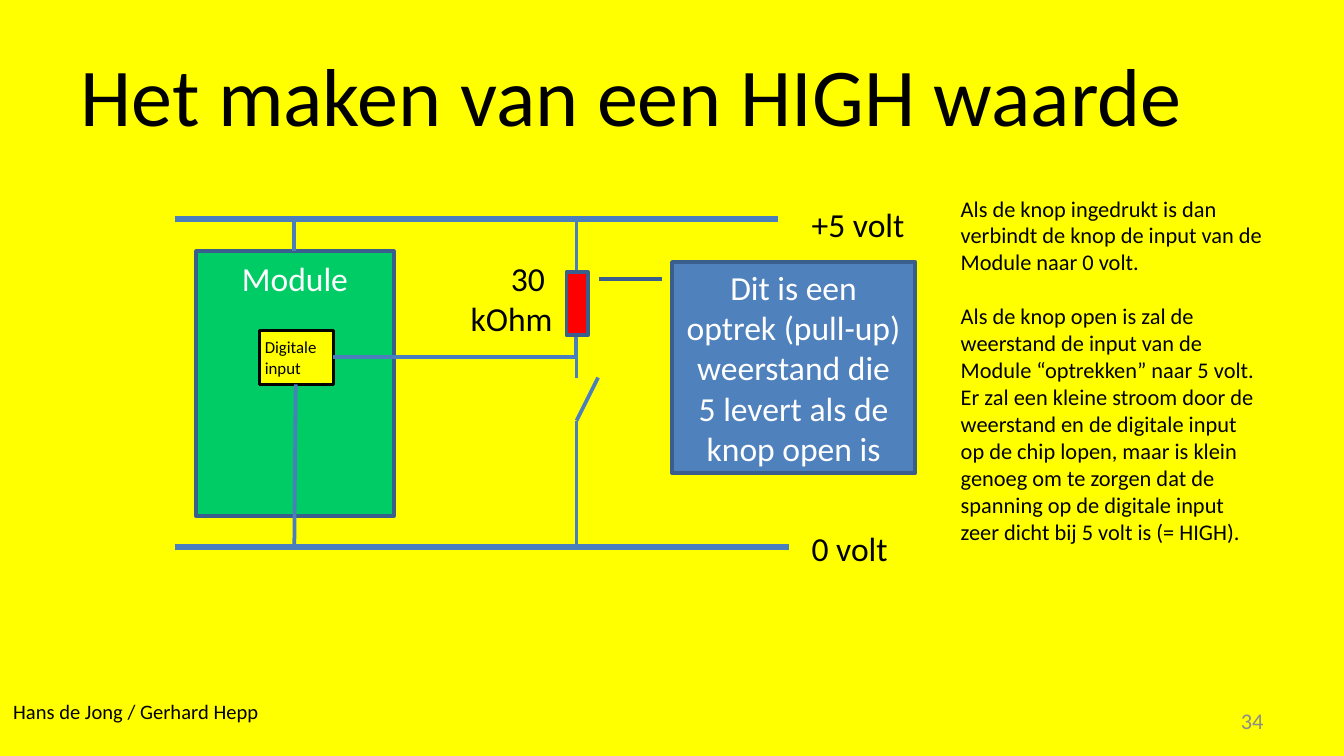
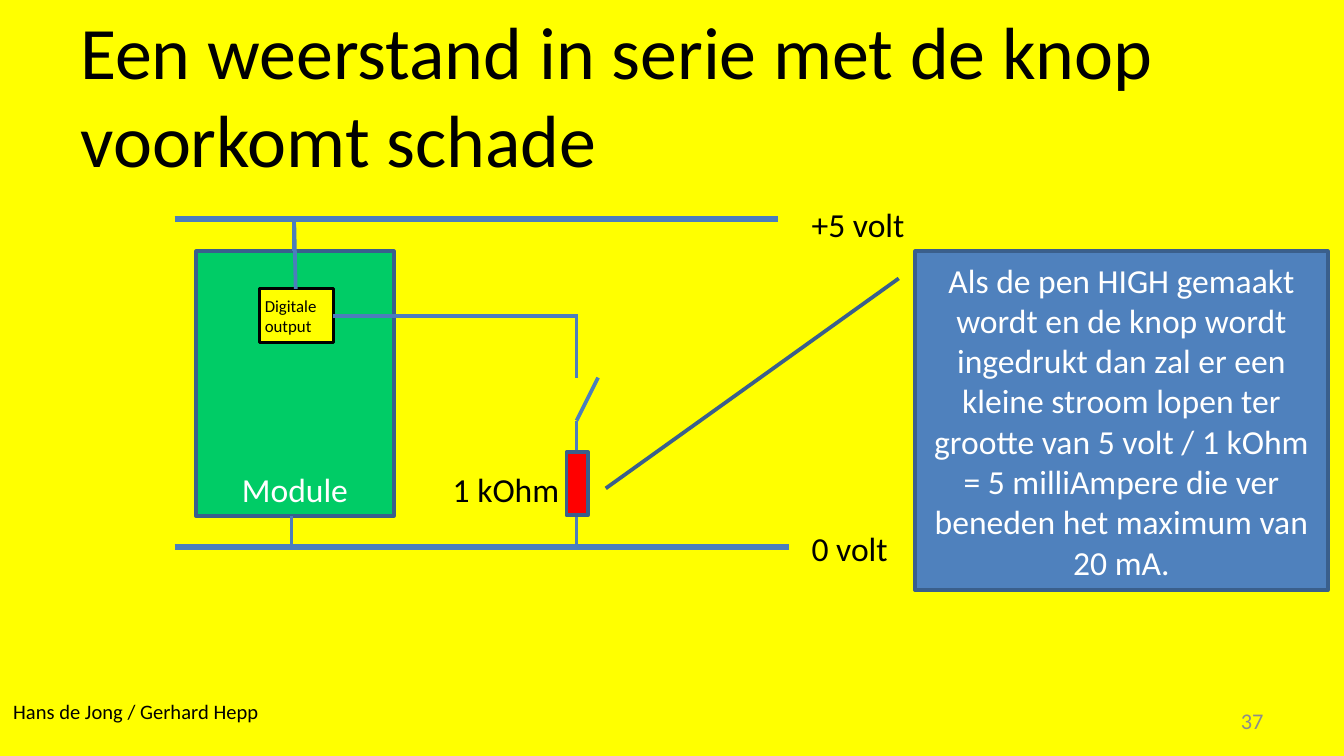
import pptx
import pptx.util
import pptx.dml.color
import pptx.enum.shapes
import pptx.enum.text
import pptx.oxml.ns
from lxml import etree

Inches = pptx.util.Inches
Pt = pptx.util.Pt
SHAPE = pptx.enum.shapes.MSO_SHAPE
CONNECTOR = pptx.enum.shapes.MSO_CONNECTOR
ALIGN = pptx.enum.text.PP_ALIGN
ANCHOR = pptx.enum.text.MSO_ANCHOR

FONT = "Calibri"
YELLOW, GREEN, RED, BLUE = "FFFF00", "00CC66", "FF0000", "4F81BD"
EDGE, WIRE, BLACK, WHITE, GREY = "3A5F8C", "4B7EBC", "000000", "FFFFFF", "8C8C8C"

AUTHORS = "Hans de Jong / Gerhard Hepp"
PLUS_Y, ZERO_Y = 1.63, 4.07
SWITCH_X, SWITCH_TOP, SWITCH_HINGE = 4.29, 2.81, 3.13
RAILS = [  # label, wire y, wire end, label box
    ("+5 volt", PLUS_Y, 5.79, (5.94, 1.47, 0.92, 0.4)),
    ("0 volt", ZERO_Y, 5.87, (5.94, 3.88, 0.8, 0.4)),
]
BOARD_LABEL = "Module"
BOARD = (1.46, 1.87, 1.47, 1.97)
SWITCH = [
    (SWITCH_X, ZERO_Y, SWITCH_X, SWITCH_HINGE),
    (SWITCH_X, SWITCH_HINGE, 4.45, SWITCH_TOP),
]
BOARD_FEED = (2.19, PLUS_Y, 2.19, BOARD[1])

SLIDES = [
    {
        "title": "Het maken van een HIGH waarde",
        "title_size": 44,
        "number": "34",
        "board_anchor": ANCHOR.TOP,
        "pin": ("Digitale input", 2.46),
        "wires": [
            BOARD_FEED,
            (2.2, 2.86, 2.19, ZERO_Y),
            (SWITCH_X, PLUS_Y, SWITCH_X, 2.03),
            (SWITCH_X, 2.66, SWITCH_X, SWITCH_TOP),
        ],
        # a single bend, turned a quarter
        "signal": ((3.3, 1.67, 3.46, 3.48), {"prst": "bentConnector2", "rot": "5400000"}),
        "resistor_y": 2.18,
        "resistance": (["30 ", "kOhm"], (3.27, 1.87, 0.94, 0.71), ALIGN.RIGHT),
        "callout": (
            "Dit is een optrek (pull-up) weerstand die 5 levert als de knop open is",
            (5, 1.95, 1.81, 1.57),
            (0.08, -0.04, 0.08, -0.3),
        ),
        "explanation": [
            "Als de knop ingedrukt is dan verbindt de knop de input van de Module naar 0 volt.",
            "Als de knop open is zal de weerstand de input van de Module “optrekken” naar 5 volt. "
            "Er zal een kleine stroom door de weerstand en de digitale input op de chip lopen, "
            "maar is klein genoeg om te zorgen dat de spanning op de digitale input zeer dicht "
            "bij 5 volt is (= HIGH).",
        ],
    },
    {
        "title": "Een weerstand in serie met de knop voorkomt schade",
        "title_size": 39.6,
        "number": "37",
        "board_anchor": ANCHOR.BOTTOM,
        "pin": ("Digitale output", 2.15),
        "wires": [
            BOARD_FEED,
            (2.19, 1.67, 2.2, 2.15),
            (2.17, 3.84, 2.17, ZERO_Y),
            (SWITCH_X, 2.34, SWITCH_X, SWITCH_TOP),
        ],
        "signal": ((SWITCH_X, 2.35, 2.48, 2.35), {}),
        "resistor_y": 3.52,
        "resistance": (["1 kOhm"], (3.27, 3.44, 1.34, 0.4), ALIGN.LEFT),
        "callout": (
            "Als de pen HIGH gemaakt wordt en de knop wordt ingedrukt dan zal er een kleine "
            "stroom lopen ter grootte van 5 volt / 1 kOhm = 5 milliAmpere die ver beneden het "
            "maximum van 20 mA.",
            (6.81, 1.87, 3.07, 2.52),
            (0.08, -0.04, 0.7, -0.75),
        ),
        "explanation": [],
    },
]


def rgb(value):
    return pptx.dml.color.RGBColor.from_string(value)


def write(frame, paragraphs, size, color=BLACK, align=ALIGN.LEFT, gap=0, **frame_format):
    settings = {"word_wrap": True, "vertical_anchor": ANCHOR.TOP, **frame_format}
    for key, value in settings.items():
        setattr(frame, key, value)
    for index, text in enumerate(paragraphs):
        paragraph = frame.paragraphs[0] if index == 0 else frame.add_paragraph()
        paragraph.text = text
        paragraph.alignment = align
        if index and gap:
            paragraph.space_before = Pt(gap)
        for key, value in {"name": FONT, "size": Pt(size)}.items():
            setattr(paragraph.font, key, value)
        paragraph.font.color.rgb = rgb(color)


def add_text(slide, box, paragraphs, size, **text_format):
    frame = slide.shapes.add_textbox(*map(Inches, box)).text_frame
    write(frame, paragraphs, size, **text_format)


def add_part(slide, box, fill, edge=EDGE, width=2, preset=SHAPE.RECTANGLE):
    part = slide.shapes.add_shape(preset, *map(Inches, box))
    part.shadow.inherit = False
    part.fill.solid()
    part.fill.fore_color.rgb = rgb(fill)
    part.line.color.rgb = rgb(edge)
    part.line.width = Pt(width)
    return part


def add_wire(slide, ends, width=2, bend=CONNECTOR.STRAIGHT):
    wire = slide.shapes.add_connector(bend, *map(Inches, ends))
    wire.line.color.rgb = rgb(WIRE)
    wire.line.width = Pt(width)
    etree.SubElement(wire._element.spPr, pptx.oxml.ns.qn("a:effectLst"))
    return wire


def add_signal(slide, ends, turn):
    """Draw the bent wire between the pin and the switch."""
    properties = add_wire(slide, ends, bend=CONNECTOR.ELBOW)._element.spPr
    if turn:
        properties.find(pptx.oxml.ns.qn("a:xfrm")).set("rot", turn["rot"])
        properties.find(pptx.oxml.ns.qn("a:prstGeom")).set("prst", turn["prst"])


def add_frame(slide, content):
    """Add the title, the authors and the slide number."""
    add_text(slide, (0.5, 0, 9, 1.4), [content["title"]], content["title_size"],
             vertical_anchor=ANCHOR.MIDDLE)
    add_text(slide, (0, 5.15, 2.24, 0.29), [AUTHORS], 11)
    add_text(slide, (8.94, 5.21, 0.56, 0.3), [content["number"]], 12, color=GREY,
             align=ALIGN.RIGHT, vertical_anchor=ANCHOR.MIDDLE)


def add_circuit(slide, content):
    for label, y, end, box in RAILS:
        add_wire(slide, (1.3, y, end, y), width=3)
        add_text(slide, box, [label], 18, word_wrap=False)

    board = add_part(slide, BOARD, GREEN)
    write(board.text_frame, [BOARD_LABEL], 18, color=WHITE, align=ALIGN.CENTER,
          vertical_anchor=content["board_anchor"])

    pin_label, pin_y = content["pin"]
    pin = add_part(slide, (1.93, pin_y, 0.55, 0.4), YELLOW, BLACK, 1.5)
    write(pin.text_frame, [pin_label], 9, margin_left=Inches(0.04), margin_right=Inches(0.04))

    for ends in SWITCH + content["wires"]:
        add_wire(slide, ends)
    add_signal(slide, *content["signal"])

    resistor = add_part(slide, (4.06, content["resistor_y"], 0.47, 0.16), RED)
    resistor.rotation = 90
    lines, box, align = content["resistance"]
    add_text(slide, box, lines, 18, align=align)


def add_callout(slide, text, box, pointer):
    callout = add_part(slide, box, BLUE, preset=SHAPE.LINE_CALLOUT_1)
    for index, value in enumerate(pointer):
        callout.adjustments[index] = value
    write(callout.text_frame, [text], 18, color=WHITE, align=ALIGN.CENTER,
          vertical_anchor=ANCHOR.MIDDLE)


def main():
    deck = pptx.Presentation()
    deck.slide_width = Inches(10)
    deck.slide_height = deck.slide_width * 9 // 16
    background = deck.slide_master.background.fill
    background.solid()
    background.fore_color.rgb = rgb(YELLOW)
    for content in SLIDES:
        slide = deck.slides.add_slide(deck.slide_layouts[6])
        add_frame(slide, content)
        add_circuit(slide, content)
        add_callout(slide, *content["callout"])
        if content["explanation"]:
            add_text(slide, (7.05, 1.4, 2.45, 2.73), content["explanation"], 12, gap=14.6)
    deck.save("out.pptx")


if __name__ == "__main__":
    main()
